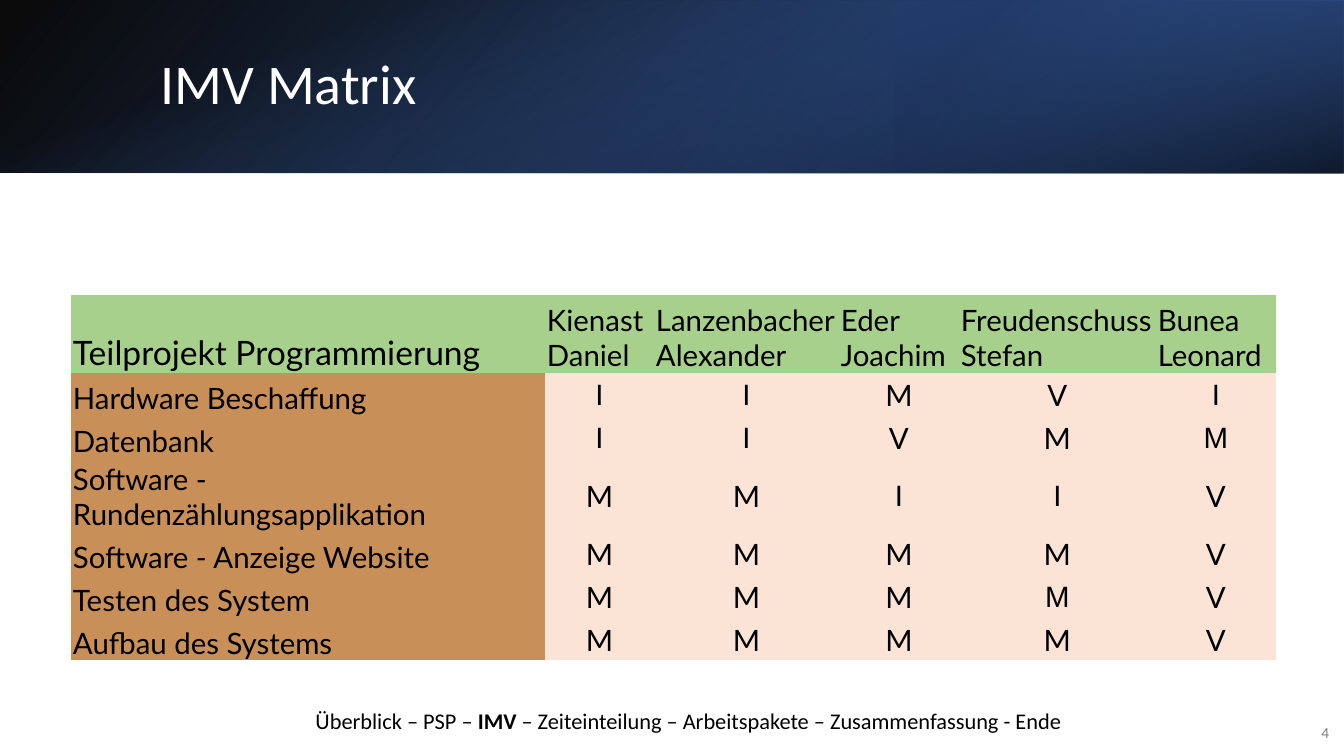
from pptx import Presentation
from pptx import util as u
from pptx import oxml
from pptx.dml import color as dml
from pptx.enum import shapes, text
from pptx.oxml import ns

PX = 914400 / 100.8
THEME = {
    "white": "FFFFFF", "black": "000000", "gray": "808080",
    "header": "A8D08D", "task": "C89058", "mark": "FBE4D5",
    "title_size": 40, "corner_size": 24, "cell_size": 21, "footer_size": 16, "number_size": 11,
    "body": "Calibri", "table": "Lato", "alternate": "Arial",
}
LEFT, CENTER, RIGHT = text.PP_ALIGN.LEFT, text.PP_ALIGN.CENTER, text.PP_ALIGN.RIGHT
MIDDLE, BOTTOM = text.MSO_ANCHOR.MIDDLE, text.MSO_ANCHOR.BOTTOM


def px(*lengths):
    return [u.Emu(round(length * PX)) for length in lengths]


def write(frame, content, size, font=THEME["body"], color=THEME["black"],
          align=LEFT, after=0, spacing=1.0):
    para = frame.paragraphs[0]
    para.alignment = align
    para.space_after = u.Pt(after)
    para.line_spacing = spacing
    for index, part in enumerate(content.split("**")):
        span = para.add_run()
        span.text = part
        span.font.size = u.Pt(size)
        span.font.name = font
        span.font.bold = index % 2 == 1
        span.font.color.rgb = dml.RGBColor.from_string(color)


deck = Presentation()
deck.slide_width, deck.slide_height = px(1344, 756)
page = deck.slides.add_slide(deck.slide_layouts[6])

banner_layers = [
    ((0, 0, 1344, 173), 0, True, 140, [(0, "000000", 96), (100, "2F5597", 100)]),
    ((896, 0, 448, 173), 180, True, 320, [(19, "203864", 68), (100, "4472C4", 79)]),
    ((585, -585, 173, 1344), 90, False, 340, [(23, "4472C4", 0), (99, "000000", 74)]),
]
for place, rotation, flipped, angle, stops in banner_layers:
    layer = page.shapes.add_shape(shapes.MSO_SHAPE.RECTANGLE, *px(*place))
    layer.shadow.inherit = False
    layer.line.fill.background()
    layer.rotation = rotation
    properties = layer._element.spPr
    if flipped:
        properties.find(ns.qn("a:xfrm")).set("flipH", "1")
    stop_xml = "".join(
        f'<a:gs pos="{position * 1000}"><a:srgbClr val="{color}">'
        f'<a:alpha val="{alpha * 1000}"/></a:srgbClr></a:gs>'
        for position, color, alpha in stops)
    properties.find(ns.qn("a:prstGeom")).addnext(oxml.parse_xml(
        f'<a:gradFill {ns.nsdecls("a")} rotWithShape="1"><a:gsLst>{stop_xml}</a:gsLst>'
        f'<a:lin ang="{angle * 60000}" scaled="0"/></a:gradFill>'))

labels = [
    ((151, 38, 1107, 97), "IMV Matrix",
     dict(size=THEME["title_size"], color=THEME["white"], spacing=0.9)),
    ((1290, 712, 49, 40), "4",
     dict(size=THEME["number_size"], color=THEME["gray"], align=RIGHT, after=6)),
    ((214, 701, 949, 40),
     "Überblick – PSP – **IMV** – Zeiteinteilung – Arbeitspakete – Zusammenfassung - Ende",
     dict(size=THEME["footer_size"], align=CENTER)),
]
for place, content, style in labels:
    box = page.shapes.add_textbox(*px(*place))
    box.text_frame.word_wrap = True
    box.text_frame.vertical_anchor = MIDDLE
    write(box.text_frame, content, **style)

matrix = [
    ["Teilprojekt Programmierung", "Kienast Daniel", "Lanzenbacher Alexander",
     "Eder Joachim", "Freudenschuss Stefan", "Bunea Leonard"],
    ["Hardware Beschaffung", *"IIMVI"],
    ["Datenbank", *"IIVMM"],
    ["Software - Rundenzählungsapplikation", *"MMIIV"],
    ["Software - Anzeige Website", *"MMMMV"],
    ["Testen des System", *"MMMMV"],
    ["Aufbau des Systems", *"MMMMV"],
]
alternate_cells = {(2, 5), (5, 4)}
column_widths = [474, 109, 185, 120, 197, 120]
row_heights = [78] + [43] * 6

table = page.shapes.add_table(
    len(matrix), len(column_widths),
    *px(71, 295, sum(column_widths), sum(row_heights))).table
table.first_row = table.horz_banding = False
no_grid_style = "{2D5ABB26-0587-4C30-8999-92F81FD0307C}"
table._tbl.tblPr.find(ns.qn("a:tableStyleId")).text = no_grid_style
for column, width in zip(table.columns, px(*column_widths)):
    column.width = width
for row, height in zip(table.rows, px(*row_heights)):
    row.height = height

for r, values in enumerate(matrix):
    for c, value in enumerate(values):
        cell = table.cell(r, c)
        is_mark = r > 0 and c > 0
        fill = "header" if r == 0 else "mark" if is_mark else "task"
        cell.fill.solid()
        cell.fill.fore_color.rgb = dml.RGBColor.from_string(THEME[fill])
        cell.margin_left, cell.margin_right, cell.margin_top, cell.margin_bottom = px(2, 2, 2, 0)
        cell.vertical_anchor = MIDDLE if is_mark else BOTTOM
        alternate = value == "I" or (r, c) in alternate_cells
        write(cell.text_frame, value,
              size=THEME["corner_size" if r == c == 0 else "cell_size"],
              font=THEME["alternate" if alternate else "table"],
              align=CENTER if is_mark else LEFT)

deck.save("out.pptx")
